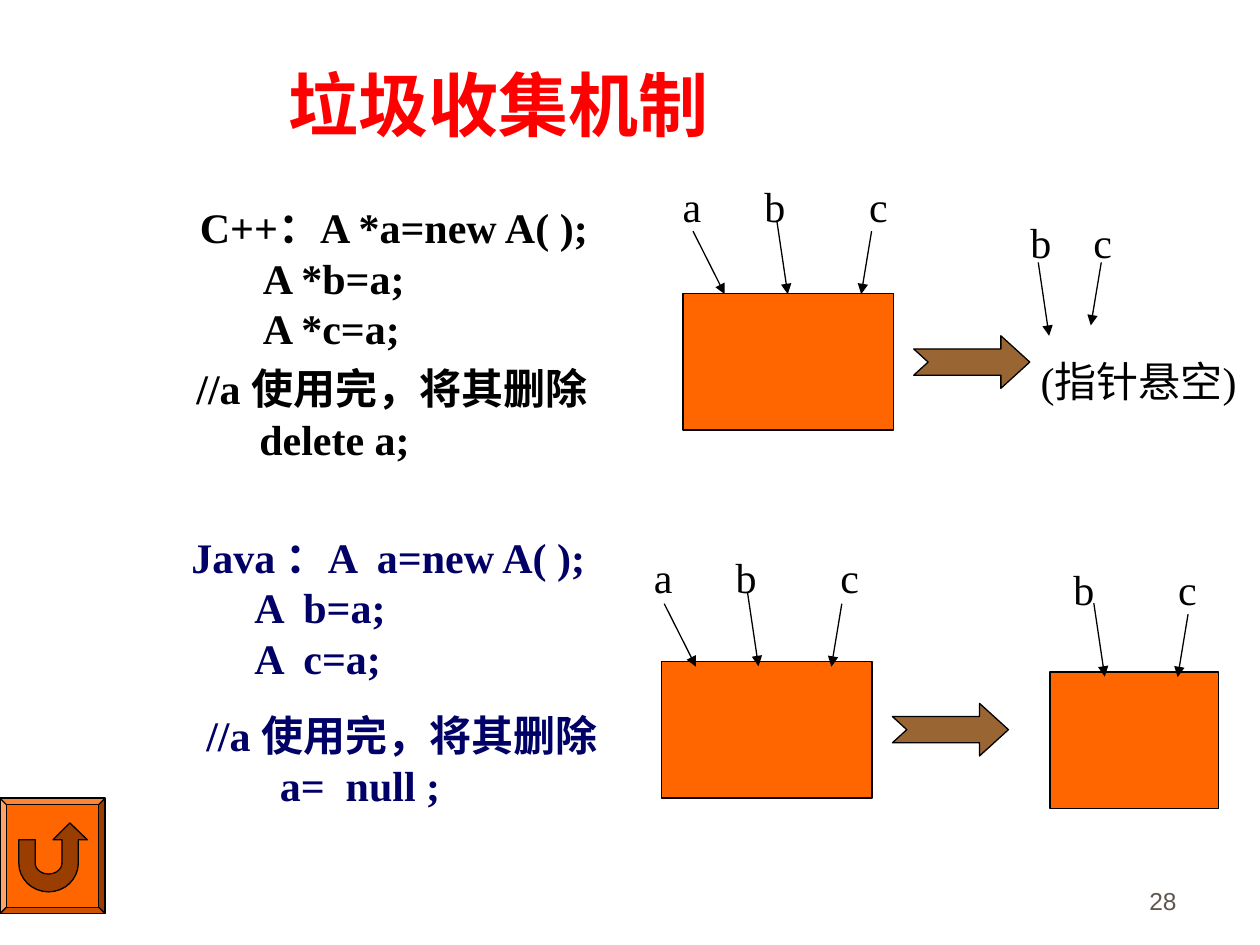
from math import cos, pi, sin

from lxml.etree import SubElement
from pptx import Presentation
from pptx.dml.color import RGBColor
from pptx.enum.shapes import MSO_CONNECTOR, MSO_SHAPE
from pptx.enum.text import MSO_ANCHOR, MSO_AUTO_SIZE, PP_ALIGN
from pptx.oxml.ns import qn
from pptx.util import Cm, Pt

BLACK = RGBColor(0x00, 0x00, 0x00)
RED = RGBColor(0xFF, 0x00, 0x00)
NAVY = RGBColor(0x00, 0x00, 0x66)
ORANGE = RGBColor(0xFF, 0x66, 0x00)
BROWN = RGBColor(0x99, 0x66, 0x33)
DARK_ORANGE = RGBColor(0x99, 0x3D, 0x00)
GREY = RGBColor(0x5E, 0x57, 0x4E)

prs = Presentation()
prs.slide_width = Cm(25.4)
prs.slide_height = Cm(19.05)
slide = prs.slides.add_slide(prs.slide_layouts[6])
shapes = slide.shapes


def add_text(box, lines, color=BLACK, size=24, bold=False, font="Times New Roman",
             align=PP_ALIGN.LEFT, tabs=()):
    frame = shapes.add_textbox(*map(Cm, box)).text_frame
    frame.word_wrap = False
    frame.auto_size = MSO_AUTO_SIZE.SHAPE_TO_FIT_TEXT
    for i, line in enumerate(lines):
        paragraph = frame.paragraphs[0] if i == 0 else frame.add_paragraph()
        paragraph.alignment = align
        if tabs:
            stops = SubElement(paragraph._p.get_or_add_pPr(), qn("a:tabLst"))
            for stop in tabs:
                SubElement(stops, qn("a:tab"), pos=str(Cm(stop)), algn="l")
        run = paragraph.add_run()
        run.text = line
        run.font.name = font
        run.font.size = Pt(size)
        run.font.bold = bold
        run.font.color.rgb = color
    return frame


def paint(shape, fill):
    shape.shadow.inherit = False
    shape.fill.solid()
    shape.fill.fore_color.rgb = fill
    shape.line.color.rgb = BLACK
    shape.line.width = Pt(0.75)


page_number = add_text((18.69, 17.3, 5.28, 1.27), ["28"], GREY, 14, font="Arial",
                       align=PP_ALIGN.RIGHT)
page_number.word_wrap = True
page_number.auto_size = MSO_AUTO_SIZE.NONE
page_number.vertical_anchor = MSO_ANCHOR.BOTTOM

add_text((5.56, 1.12, 8.97, 1.96), ["垃圾收集机制"], RED, 40, True, align=PP_ALIGN.CENTER)

code_blocks = [
    ((3.78, 3.94, 8.81, 3.3), BLACK, ["C++：A *a=new A( );", "\tA *b=a;", "\tA *c=a;"]),
    ((3.71, 7.19, 8.59, 2.29), BLACK, ["//a 使用完，将其删除", "\tdelete a;"]),
    ((3.61, 10.59, 8.94, 3.3), NAVY, ["Java ：A  a=new A( );", "\tA  b=a;", "\tA  c=a;"]),
    ((3.91, 14.17, 8.59, 2.29), NAVY, ["//a 使用完，将其删除", "\t a=  null ;"]),
]
for box, color, lines in code_blocks:
    add_text(box, lines, color, bold=True)

for memory_box in [(13.77, 5.92, 4.24, 2.75), (13.34, 13.34, 4.24, 2.75),
                   (21.17, 13.55, 3.39, 2.75)]:
    paint(shapes.add_shape(MSO_SHAPE.RECTANGLE, *map(Cm, memory_box)), ORANGE)

pointer_reach = {"a": (0.64, 1.27), "b": (0.22, 1.48), "c": (-0.21, 1.27)}
pointer_groups = [
    ((13.51, 3.51, 4.65, 1.27), (1.65, 3.76),
     {"a": (13.97, 4.66), "b": (15.66, 4.45), "c": (17.57, 4.66)}),
    ((20.52, 4.24, 2.2, 1.27), (1.27,),
     {"b": (20.93, 5.29), "c": (22.2, 5.29)}),
    ((12.93, 11, 4.65, 1.27), (1.65, 3.76),
     {"a": (13.39, 12.17), "b": (15.07, 11.95), "c": (16.97, 12.17)}),
    ((21.39, 11.23, 3, 1.27), (2.11,),
     {"b": (22.05, 12.16), "c": (23.95, 12.38)}),
]
for label_box, tabs, pointers in pointer_groups:
    add_text(label_box, ["\t".join(pointers)], tabs=tabs)
    for name, (x, y) in pointers.items():
        dx, dy = pointer_reach[name]
        pointer = shapes.add_connector(MSO_CONNECTOR.STRAIGHT,
                                       Cm(x), Cm(y), Cm(x + dx), Cm(y + dy))
        pointer.line.color.rgb = BLACK
        pointer.line.width = Pt(0.75)
        SubElement(pointer.line._get_or_add_ln(), qn("a:tailEnd"), type="triangle")
        SubElement(pointer._element.spPr, qn("a:effectLst"))

add_text((20.73, 7.04, 4.85, 1.27), ["(指针悬空)"])

for left, top in [(17.99, 14.18), (18.42, 6.77)]:
    step = shapes.add_shape(MSO_SHAPE.NOTCHED_RIGHT_ARROW, Cm(left), Cm(top), Cm(2.34), Cm(1.06))
    step.adjustments[0] = 0.5
    step.adjustments[1] = 0.55
    paint(step, BROWN)

return_button = shapes.add_shape(MSO_SHAPE.BEVEL, Cm(0), Cm(16.09), Cm(2.12), Cm(2.33))
return_button.adjustments[0] = 0.06
paint(return_button, ORANGE)

bend_x, bend_y = 0.98, 17.4
quarter = [i * pi / 16 for i in range(17)]
inner_bend = [(bend_x - 0.27 * cos(t), bend_y + 0.22 * sin(t)) for t in quarter]
outer_bend = [(bend_x + 0.6 * cos(t), bend_y + 0.58 * sin(t)) for t in quarter]
outline = ([(0.38, 16.93), (0.71, 16.93)] + inner_bend
           + [(1.25, 16.93), (1.07, 16.93), (1.41, 16.59), (1.76, 16.93), (1.58, 16.93)]
           + outer_bend)
points = [(Cm(x), Cm(y)) for x, y in outline]
builder = shapes.build_freeform(*points[0])
builder.add_line_segments(points[1:], close=True)
paint(builder.convert_to_shape(), DARK_ORANGE)

prs.save("out.pptx")
